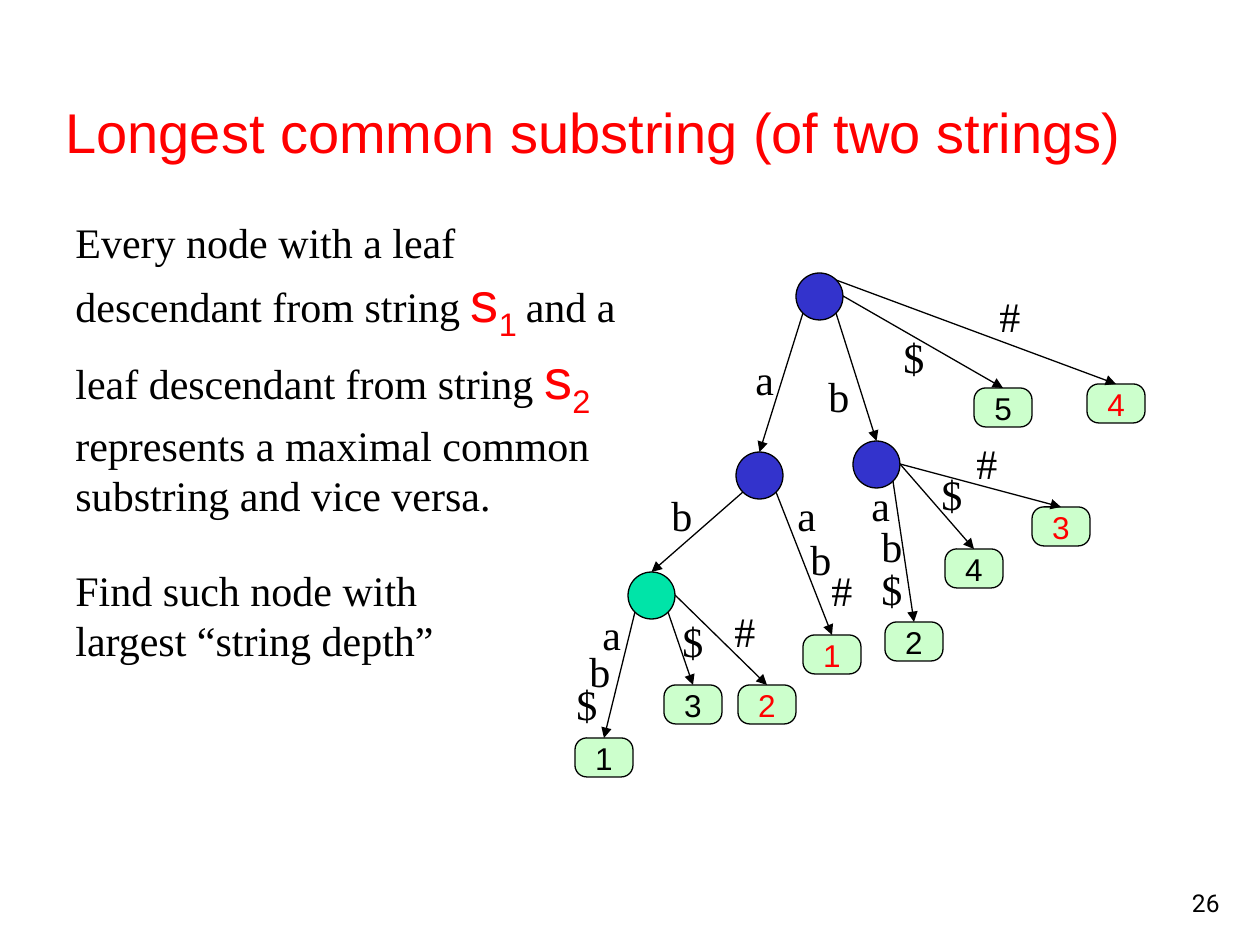
"""Build a slide on the longest common substring with a generalized suffix tree."""
from lxml.etree import SubElement
from pptx import Presentation
from pptx.dml.color import RGBColor
from pptx.enum.shapes import MSO_CONNECTOR, MSO_SHAPE
from pptx.enum.text import MSO_ANCHOR, PP_ALIGN
from pptx.oxml.ns import qn
from pptx.util import Emu, Pt

PX = 914400 / 126
NODE, LEAF_WIDTH, LEAF_HEIGHT = 47, 58, 39
BLACK, RED, BLUE, TEAL, MINT = "000000", "FF0000", "3333CC", "00E4A8", "CCFFCC"
SERIF, SANS = "Times New Roman", "Arial"


def scaled(*lengths):
    return [Emu(round(length * PX)) for length in lengths]


def set_font(font, name, size, color):
    font.name, font.size = name, Pt(size)
    font.color.rgb = RGBColor.from_string(color)


presentation = Presentation()
presentation.slide_width, presentation.slide_height = scaled(1260, 945)
slide = presentation.slides.add_slide(presentation.slide_layouts[6])

texts = [
    ("Longest common substring (of two strings)", 53, 91, 1166, 81, SANS, 32, RED),
    ("Find such node with largest “string depth”", 63, 558, 462, 113, SERIF, 24, BLACK),
    ("26", 970, 861, 262, 63, "Roboto", 14, BLACK),
]
edge_labels = [
    ("a", 743, 347), ("b", 816, 364), ("$", 891, 325), ("#", 987, 284),
    ("b", 659, 483), ("a", 785, 483), ("b", 798, 527), ("#", 819, 558),
    ("a", 859, 473), ("b", 869, 514), ("$", 869, 557), ("$", 929, 462), ("#", 964, 431),
    ("a", 590, 602), ("b", 577, 639), ("$", 564, 672), ("$", 670, 609), ("#", 722, 599),
]
texts += [(label, left, top, 53, 63, SERIF, 24, BLACK) for label, left, top in edge_labels]
for text, left, top, width, height, name, size, color in texts:
    frame = slide.shapes.add_textbox(*scaled(left, top, width, height)).text_frame
    frame.word_wrap = True
    paragraph = frame.paragraphs[0]
    paragraph.text = text
    set_font(paragraph.font, name, size, color)
    if text == "26":
        frame.vertical_anchor = MSO_ANCHOR.BOTTOM
        paragraph.alignment = PP_ALIGN.RIGHT

frame = slide.shapes.add_textbox(*scaled(63, 210, 588, 318)).text_frame
frame.word_wrap = True
paragraph = frame.paragraphs[0]
for lead, string_index in [
    ("Every node with a leaf descendant from string ", "1 "),
    ("and a leaf descendant from string ", "2"),
]:
    for text, name, size, color in [
        (lead, SERIF, 24, BLACK), ("s", SANS, 32, RED), (string_index, SANS, 32, RED),
    ]:
        run = paragraph.add_run()
        run.text = text
        set_font(run.font, name, size, color)
    run._r.get_or_add_rPr().set("baseline", "-25000")
paragraph = frame.add_paragraph()
paragraph.text = "represents a maximal common substring and vice versa."
set_font(paragraph.font, SERIF, 24, BLACK)

inner_nodes = [
    ("root", 796, 273, BLUE), ("a", 736, 452, BLUE),
    ("b", 853, 441, BLUE), ("ab", 628, 572, TEAL),
]
leaves = [
    ("1", 575, 738, BLACK), ("2", 885, 622, BLACK), ("3", 664, 685, BLACK),
    ("4", 945, 549, BLACK), ("5", 974, 388, BLACK), ("1", 803, 635, RED),
    ("2", 738, 685, RED), ("3", 1032, 507, RED), ("4", 1087, 384, RED),
]
tree = {}
origins = {}
for key, left, top, color in inner_nodes:
    shape = slide.shapes.add_shape(MSO_SHAPE.OVAL, *scaled(left, top, NODE, NODE))
    shape.fill.solid()
    shape.fill.fore_color.rgb = RGBColor.from_string(color)
    tree[key] = shape
    origins[key] = left, top
for text, left, top, color in leaves:
    shape = slide.shapes.add_shape(
        MSO_SHAPE.ROUNDED_RECTANGLE, *scaled(left, top, LEAF_WIDTH, LEAF_HEIGHT))
    shape.adjustments[0] = 0.3
    shape.fill.solid()
    shape.fill.fore_color.rgb = RGBColor.from_string(MINT)
    frame = shape.text_frame
    frame.word_wrap = False
    frame.vertical_anchor = MSO_ANCHOR.MIDDLE
    paragraph = frame.paragraphs[0]
    paragraph.text = text
    paragraph.alignment = PP_ALIGN.CENTER
    set_font(paragraph.font, SANS, 18, color)
    tree[text, color] = shape
for shape in tree.values():
    shape.shadow.inherit = False
    shape.line.color.rgb = RGBColor.from_string(BLACK)
    shape.line.width = Pt(0.75)

rim_points = {
    "lower left": (7, 40), "lower right": (40, 40), "right": (47, 23), "upper right": (40, 7),
}
edges = [
    ("root", "lower left", "a"), ("root", "lower right", "b"),
    ("root", "right", ("5", BLACK)), ("root", "upper right", ("4", RED)),
    ("a", "lower left", "ab"), ("a", "lower right", ("1", RED)),
    ("b", "lower right", ("2", BLACK)), ("b", "right", ("4", BLACK)),
    ("b", "right", ("3", RED)), ("ab", "lower left", ("1", BLACK)),
    ("ab", "lower right", ("3", BLACK)), ("ab", "right", ("2", RED)),
]
for parent, rim, child in edges:
    left, top = origins[parent]
    across, down = rim_points[rim]
    start = scaled(left + across, top + down)
    edge = slide.shapes.add_connector(MSO_CONNECTOR.STRAIGHT, *start, *start)
    edge.end_connect(tree[child], 0)
    edge.line.color.rgb = RGBColor.from_string(BLACK)
    edge.line.width = Pt(0.75)
    SubElement(edge.line._get_or_add_ln(), qn("a:tailEnd"), type="triangle")
    SubElement(edge._element.spPr, qn("a:effectLst"))

presentation.save("out.pptx")
